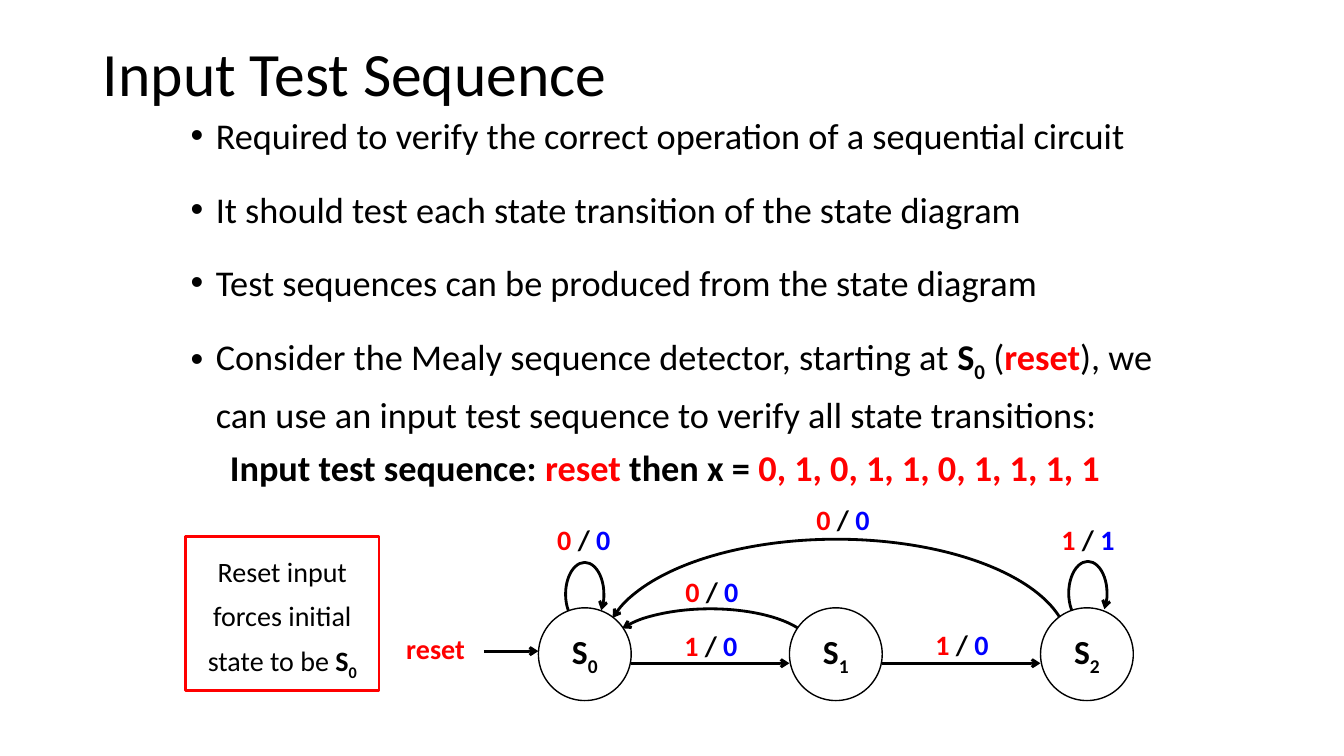
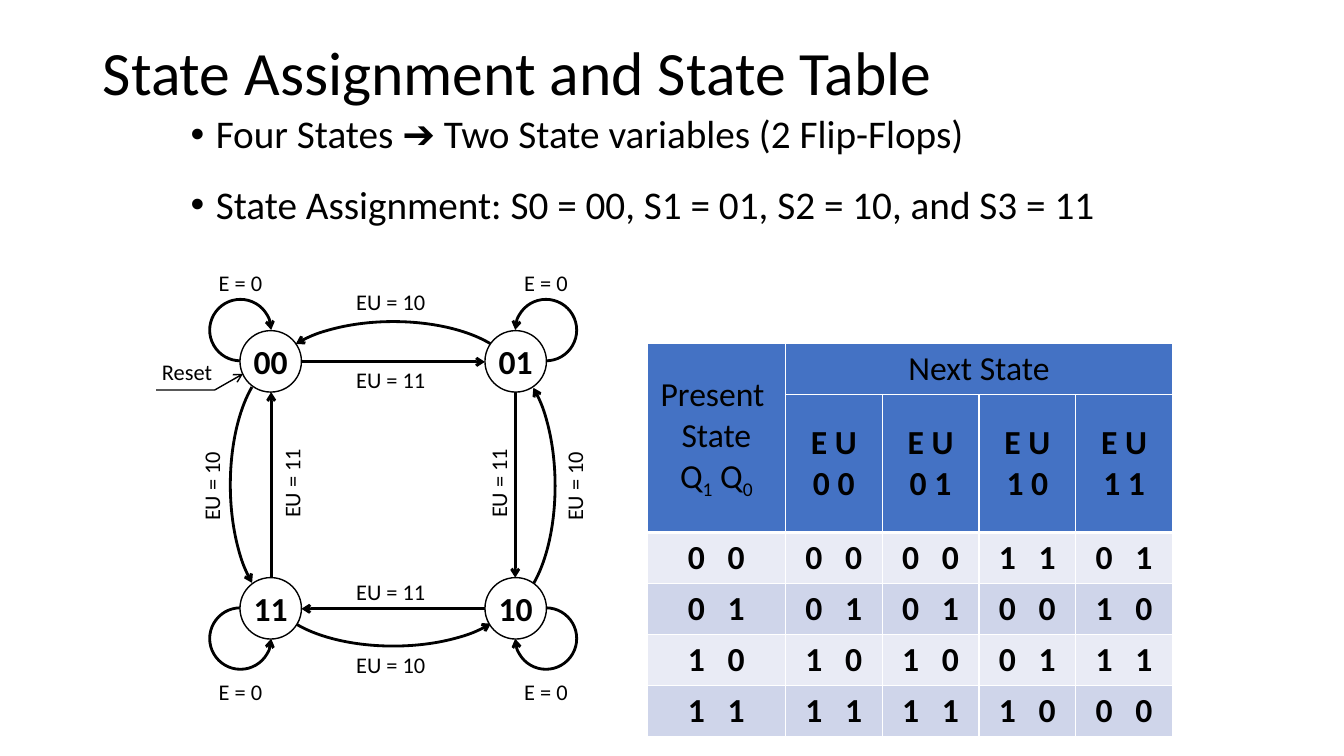
from lxml import etree
from pptx import Presentation
from pptx.dml.color import RGBColor
from pptx.enum import shapes, text
from pptx.oxml.ns import qn
from pptx.util import Inches, Pt

FONT = "Calibri"
BLACK, WHITE, RED, BLUE = "000000", "FFFFFF", "FF0000", "0000FF"
HEAD, BANDS = "4472C4", ("E9EBF5", "CFD5EA")
KIND = shapes.MSO_SHAPE
MID = text.MSO_ANCHOR.MIDDLE
CENTER, LEFT = text.PP_ALIGN.CENTER, text.PP_ALIGN.LEFT

# Text runs are (text, marks): b bold, r red, u blue, _ subscript, w wide gap
# ---- Slide 1 content
TEST_TITLE = "Input Test Sequence"
TEST_LIST = [
    [("Required to verify the correct operation of a sequential circuit", "")],
    [("It should test each state transition of the state diagram", "")],
    [("Test sequences can be produced from the state diagram", "")],
    [("Consider the Mealy sequence detector, starting at ", ""), ("S", "b"),
     ("0", "b_"), (" (", ""), ("reset", "br"),
     ("), we can use an input test sequence to verify all state transitions:", "")],
]
TEST_SEQ = [("Input test sequence: ", "b"), ("reset", "br"), (" then x = ", "b"),
            ("0, 1, 0, 1, 1, 0, 1, 1, 1, 1", "br")]
RESET_NOTE = [("Reset input forces initial state to be ", ""), ("S", "b"), ("0", "b_")]
# box, angles, arrow end
MEALY_ARCS = [
    ((6.03, 6.04, 2.03, 0.79), (115.8, 209.3), "head"),
    ((5.99, 5.35, 4.61, 2.14), (112.46, 211.58), "head"),
    ((5.61, 5.58, 0.38, 0.63), (80.3, 26.56), "tail"),
    ((10.6, 5.57, 0.38, 0.63), (80.3, 26.56), "tail"),
]
MEALY_LINES = [(4.8, 6.46, 5.34, 6.46), (6.26, 6.58, 7.83, 6.58),
               (8.75, 6.58, 10.32, 6.58)]
# input, output, box
MEALY_TAGS = [
    ("0", "0", (6.7, 5.7, 0.72, 0.34)), ("0", "0", (8.0, 4.98, 0.72, 0.34)),
    ("0", "0", (5.43, 5.11, 0.72, 0.49)), ("1", "0", (6.69, 6.23, 0.72, 0.34)),
    ("1", "0", (9.18, 6.22, 0.72, 0.34)), ("1", "1", (10.43, 5.11, 0.72, 0.49)),
]

# ---- Slide 2 content
TABLE_TITLE = "State Assignment and State Table"
TABLE_LIST = [
    [("Four States ➔ Two State variables (2 Flip-Flops)", "")],
    [("State Assignment: S0 = 00, S1 = 01, S2 = 10, and S3 = 11", "")],
]
PRESENT = [[("Present ", "")], [("State", "")],
           [("Q", ""), ("1", "_"), (" Q", ""), ("0", "_")]]
INPUTS = ["0 0", "0 1", "1 0", "1 1"]
STATES = [
    ("00", "00", "00", "11", "01"),
    ("01", "01", "01", "00", "10"),
    ("10", "10", "10", "01", "11"),
    ("11", "11", "11", "10", "00"),
]
NODES = [["00", "01"], ["11", "10"]]
NODE_X, NODE_Y, NODE_D = (2.38, 4.81), (3.28, 5.73), 0.61
LOOP_X, LOOP_Y, LOOP_TAG_Y = (2.08, 5.11), (2.97, 6.03), (2.67, 6.73)
BEND = (119.44, 204.62)
# box, arrow end, flip, rotation
BENDS = [
    ((1.61, 4.26, 2.45, 1.1), "tail", "V", 90),
    ((2.69, 5.3, 2.42, 1.11), "tail", "V", 0),
    ((2.69, 3.19, 2.42, 1.11), "head", "", 0),
    ((3.73, 4.27, 2.45, 1.1), "tail", "V", 270),
]
COUNT_LINES = [(5, 6.04, 2.99, 6.04), (5.11, 3.7, 5.11, 5.73),
               (2.69, 5.93, 2.69, 3.89), (2.8, 3.59, 4.81, 3.59)]
# label, left, top, width, rotation
COUNT_TAGS = [
    ("EU = 11", 3.43, 3.63, 0.89, 0), ("EU = 11", 3.43, 5.73, 0.89, 0),
    ("EU = 11", 2.5, 4.66, 0.78, 270), ("EU = 11", 4.55, 4.66, 0.78, 270),
    ("EU = 10", 3.43, 2.86, 0.89, 0), ("EU = 10", 3.43, 6.46, 0.89, 0),
    ("EU = 10", 1.73, 4.69, 0.73, 270), ("EU = 10", 5.33, 4.69, 0.73, 270),
    ("Reset", 1.55, 3.55, 0.61, 0),
]
RESET_PATH = [(2.41, 3.71), (2.13, 3.87), (1.55, 3.87)]


# ---- Shared helpers
def rgb(code):
    return RGBColor.from_string(code)


def inch(*vals):
    return [Inches(v) for v in vals]


def write(par, runs, size, align=CENTER, space=None, before=0, after=0):
    par.alignment = align
    par.line_spacing = space
    par.space_before, par.space_after = Pt(before), Pt(after)
    par.font.name, par.font.size = FONT, Pt(size)
    par.font.color.rgb = rgb(BLACK)
    for words, marks in runs:
        run = par.add_run()
        run.text = words
        run.font.bold = "b" in marks
        if "r" in marks or "u" in marks:
            run.font.color.rgb = rgb(RED if "r" in marks else BLUE)
        props = run.font._element
        if "_" in marks:
            props.set("baseline", "-25000")
        if "w" in marks:
            props.set("spc", "1080")


def inset(frame, side=0, end=0):
    frame.margin_left = frame.margin_right = Inches(side)
    frame.margin_top = frame.margin_bottom = Inches(end)


def label(slide, runs, box, size, turn=0):
    tag = slide.shapes.add_textbox(*inch(*box))
    tag.rotation = turn
    frame = tag.text_frame
    frame.word_wrap, frame.vertical_anchor = False, MID
    inset(frame)
    write(frame.paragraphs[0], runs, size)


def stroke(shape, width, color=BLACK, arrow=None):
    shape.line.color.rgb = rgb(color)
    shape.line.width = Pt(width)
    if arrow:
        end = etree.SubElement(shape.line._get_or_add_ln(), qn(f"a:{arrow}End"))
        end.set("type", "arrow")


def draw(slide, kind, box, width, color=BLACK, fill=None, arrow=None):
    shape = slide.shapes.add_shape(kind, *inch(*box))
    shape.shadow.inherit = False
    if fill:
        shape.fill.solid()
        shape.fill.fore_color.rgb = rgb(fill)
    else:
        shape.fill.background()
    stroke(shape, width, color, arrow)
    return shape


def bend(slide, box, angles, arrow, flip="", turn=0):
    arc = draw(slide, KIND.ARC, box, 2, arrow=arrow)
    arc.adjustments[0], arc.adjustments[1] = angles
    arc.rotation = turn
    for axis in flip:
        arc._element.spPr.xfrm.set(f"flip{axis}", "1")


def link(slide, ends):
    line = slide.shapes.add_connector(shapes.MSO_CONNECTOR.STRAIGHT, *inch(*ends))
    stroke(line, 2, arrow="tail")
    etree.SubElement(line._element.spPr, qn("a:effectLst"))


def node(slide, runs, box, end=0, after=0):
    shape = draw(slide, KIND.OVAL, box, 1, fill=WHITE)
    frame = shape.text_frame
    frame.vertical_anchor = MID
    inset(frame, 0, end)
    write(frame.paragraphs[0], runs, 24, after=after)


def place(holder, box):
    holder.left, holder.top, holder.width, holder.height = inch(*box)
    holder.text_frame.auto_size = text.MSO_AUTO_SIZE.NONE
    return holder.text_frame


def bullet(par, char, left, hang):
    props = par._p.get_or_add_pPr()
    props.set("marL", str(Inches(left)))
    props.set("indent", str(Inches(hang)))
    if char:
        etree.SubElement(props, qn("a:buFont")).set("typeface", "Arial")
        etree.SubElement(props, qn("a:buChar")).set("char", char)
    else:
        etree.SubElement(props, qn("a:buNone"))


def start(deck, title, top, items, box, size, space, before):
    slide = deck.slides.add_slide(deck.slide_layouts[1])
    frame = place(slide.shapes.title, (0.92, top, 11.5, 1.45))
    frame.vertical_anchor = MID
    write(frame.paragraphs[0], [(title, "")], 44, LEFT, 0.9)
    body = place(slide.placeholders[1], box)
    for i, runs in enumerate(items):
        par = body.add_paragraph() if i else body.paragraphs[0]
        bullet(par, "•", 0.25, -0.25)
        write(par, runs, size, LEFT, space, before if i else 0)
    return slide, body


def border(cell, **widths):
    props = cell._tc.get_or_add_tcPr()
    for side in "LRTB":
        line = etree.SubElement(props, qn(f"a:ln{side}"))
        line.set("w", str(Pt(widths.get(side, 1))))
        fill = etree.SubElement(line, qn("a:solidFill"))
        etree.SubElement(fill, qn("a:srgbClr")).set("val", WHITE)


def fill_cell(cell, lines):
    cell.vertical_anchor = MID
    inset(cell, 0, 0.05)
    for i, runs in enumerate(lines):
        par = cell.text_frame.add_paragraph() if i else cell.text_frame.paragraphs[0]
        write(par, runs, 24)


# ---- Slides
def test_slide(deck):
    slide, body = start(deck, TEST_TITLE, 0.03, TEST_LIST,
                        (1.79, 0.99, 9.94, 3.89), 25.9, 1.2, 15)
    par = body.add_paragraph()
    bullet(par, None, 0.39, 0)
    write(par, TEST_SEQ, 25.9, LEFT, 0.9, 10)

    # Mealy state diagram
    for box, angles, arrow in MEALY_ARCS:
        bend(slide, box, angles, arrow)
    for ends in MEALY_LINES:
        link(slide, ends)
    for i in range(3):
        node(slide, [("S", "b"), (str(i), "b_")],
             (5.34 + 2.49 * i, 6.03, 0.92, 0.92), after=10)
    for put, out, box in MEALY_TAGS:
        label(slide, [(put + " ", "br"), ("/ ", "b"), (out, "bu")], box, 20)
    label(slide, [("reset", "br")], (3.96, 6.26, 0.72, 0.34), 20)

    # Reset note
    note = draw(slide, KIND.RECTANGLE, (1.84, 5.32, 1.92, 1.53), 2, RED)
    note.text_frame.vertical_anchor = MID
    note.text_frame.word_wrap = True
    inset(note.text_frame)
    write(note.text_frame.paragraphs[0], RESET_NOTE, 20, space=1.3)


def state_table(slide):
    table = slide.shapes.add_table(6, 5, *inch(6.42, 3.41, 5.22, 2.44)).table
    table.first_row = table.horz_banding = False
    for i, col in enumerate(table.columns):
        col.width = Inches(0.96 if i else 1.37)
    for i, row in enumerate(table.rows):
        row.height = Inches(0.48 if i < 2 else 0.37)
        for cell in row.cells:
            border(cell, **{1: {"B": 3}, 2: {"T": 3}}.get(i, {}))
            cell.fill.solid()
            cell.fill.fore_color.rgb = rgb(HEAD if i < 2 else BANDS[i % 2])
    table.cell(0, 0).merge(table.cell(1, 0))
    table.cell(0, 1).merge(table.cell(0, 4))
    fill_cell(table.cell(0, 0), PRESENT)
    fill_cell(table.cell(0, 1), [[("Next State", "")]])
    for c, bits in enumerate(INPUTS, 1):
        fill_cell(table.cell(1, c), [[("E U", "b")], [(bits, "b")]])
    for r, states in enumerate(STATES, 2):
        for c, (high, low) in enumerate(states):
            fill_cell(table.cell(r, c), [[(high, "b"), (" ", "bw"), (low, "b")]])


def table_slide(deck):
    slide, _ = start(deck, TABLE_TITLE, 0.02, TABLE_LIST,
                     (1.79, 1.09, 9.75, 1.23), 28, 0.9, 20)
    state_table(slide)

    # Counter state diagram
    for y, tag_y, up in zip(LOOP_Y, LOOP_TAG_Y, ("V", "")):
        for x, back in zip(LOOP_X, ("H", "")):
            bend(slide, (x, y, 0.61, 0.61), (146.8, 107.76), "tail", back + up)
            label(slide, [("E = 0", "")], (x, tag_y, 0.61, 0.27), 16)
    for ends in COUNT_LINES:
        link(slide, ends)
    for box, arrow, flip, turn in BENDS:
        bend(slide, box, BEND, arrow, flip, turn)
    for words, x, y, wide, turn in COUNT_TAGS:
        label(slide, [(words, "")], (x, y, wide, 0.27), 16, turn)
    for y, names in zip(NODE_Y, NODES):
        for x, name in zip(NODE_X, names):
            node(slide, [(name, "b")], (x, y, NODE_D, NODE_D), 0.05)

    # Reset pointer
    points = [inch(*pt) for pt in RESET_PATH]
    pen = slide.shapes.build_freeform(*points[0])
    pen.add_line_segments(points[1:], close=False)
    hook = pen.convert_to_shape()
    hook.shadow.inherit = False
    hook.fill.background()
    stroke(hook, 1, arrow="head")


def main():
    deck = Presentation()
    deck.slide_width, deck.slide_height = inch(13.33, 7.5)
    test_slide(deck)
    table_slide(deck)
    deck.save("out.pptx")


if __name__ == "__main__":
    main()
